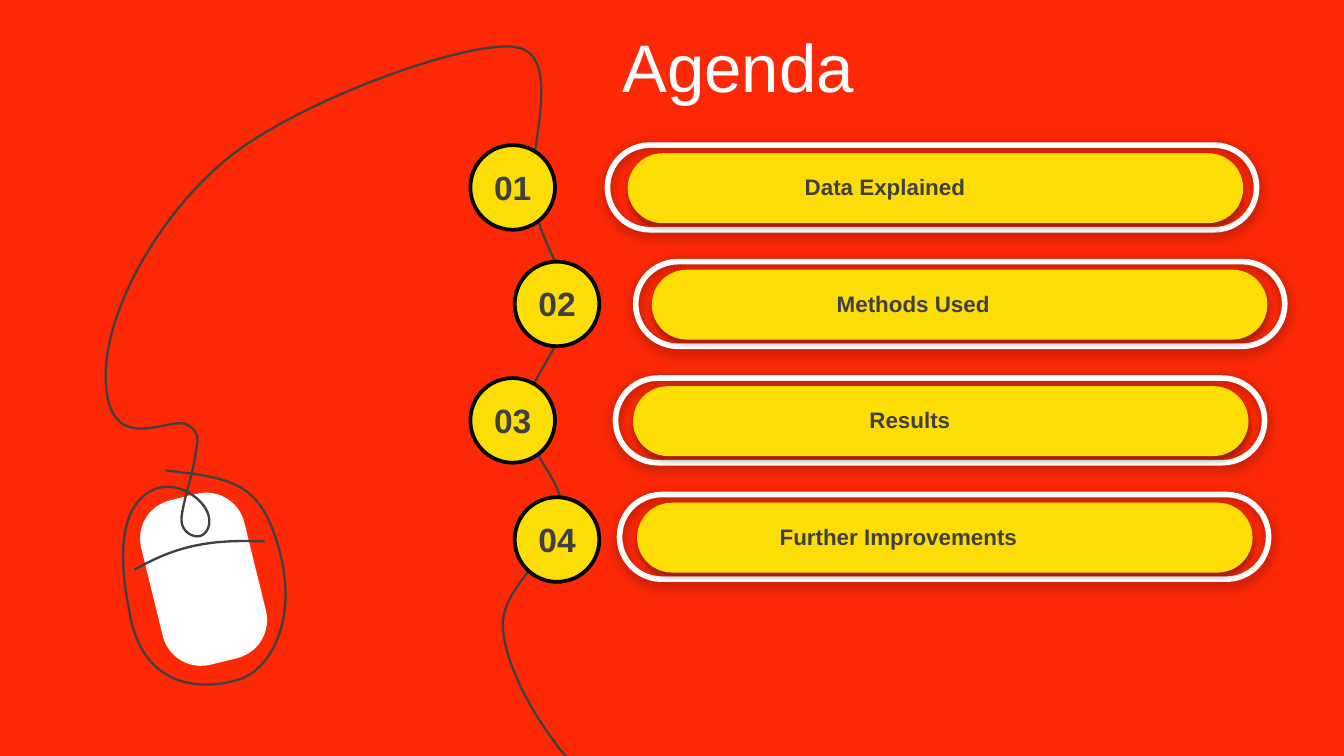
from dataclasses import dataclass
from lxml.etree import SubElement
from pptx import Presentation
from pptx.dml.color import RGBColor as RGB
from pptx.enum.shapes import MSO_SHAPE as Shape
from pptx.enum.text import MSO_ANCHOR as Anchor, MSO_AUTO_SIZE as Fit, PP_ALIGN as Align
from pptx.oxml.ns import qn
from pptx.util import Inches, Pt


@dataclass(frozen=True)
class Theme:
    """Colours, font and type sizes of the slide."""
    back: str = "FD2906"
    accent: str = "FDDD06"
    light: str = "FFFFFF"
    ink: str = "404040"
    black: str = "000000"
    font: str = "Arial"
    title: int = 36
    number: int = 18
    label: int = 12


def write(tf, text, size, color, bold=False, align=Align.CENTER, anchor=Anchor.MIDDLE):
    """Put one formatted line of text in a text frame."""
    tf.vertical_anchor = anchor
    p = tf.paragraphs[0]
    p.alignment = align
    r = p.add_run()
    r.text = text
    r.font.name, r.font.size, r.font.bold = "Arial", Pt(size), bold
    r.font.color.rgb = RGB.from_string(color)


class Board:
    """Draw on one slide, measured in a grid of ten columns with square cells."""

    def __init__(self, prs, theme):
        """Add a title-only slide with a plain background."""
        self.theme = theme
        self.cell = prs.slide_width / 10
        self.slide = prs.slides.add_slide(prs.slide_layouts[5])
        fill = self.slide.background.fill
        fill.solid()
        fill.fore_color.rgb = RGB.from_string(theme.back)

    def grid(self, *cells):
        """Turn grid cells into slide lengths."""
        return [round(c * self.cell) for c in cells]

    def style(self, s, fill=None, line=None, width=1, shadow=None):
        """Set fill, line and an optional (alpha, blur, distance) shadow."""
        s.shadow.inherit = False
        if fill:
            s.fill.solid()
            s.fill.fore_color.rgb = RGB.from_string(fill)
        else:
            s.fill.background()
        if line:
            s.line.color.rgb = RGB.from_string(line)
            s.line.width = Pt(width)
        else:
            s.line.fill.background()
        if shadow:
            alpha, blur, dist = shadow
            effects = s.element.spPr.find(qn("a:effectLst"))
            outer = SubElement(effects, qn("a:outerShdw"), blurRad=str(Pt(blur)),
                               dist=str(Pt(dist)), dir="5400000", rotWithShape="0")
            color = SubElement(outer, qn("a:srgbClr"), val=self.theme.black)
            SubElement(color, qn("a:alpha"), val=str(alpha * 1000))

    def title(self, text, box):
        """Move and fill the title placeholder."""
        s = self.slide.shapes.title
        s.left, s.top, s.width, s.height = self.grid(*box)
        s.text_frame.auto_size = Fit.NONE
        write(s.text_frame, text, self.theme.title, self.theme.light, align=Align.LEFT)

    def shape(self, kind, box, round_by=None, turn=0, **look):
        """Add a preset shape."""
        s = self.slide.shapes.add_shape(kind, *self.grid(*box))
        if round_by:
            s.adjustments[0] = round_by
        s.rotation = turn
        self.style(s, **look)

    def text(self, text, box, size, wrap=True, anchor=Anchor.MIDDLE):
        """Add a centred bold text box."""
        tf = self.slide.shapes.add_textbox(*self.grid(*box)).text_frame
        tf.word_wrap, tf.auto_size = wrap, Fit.SHAPE_TO_FIT_TEXT
        write(tf, text, size, self.theme.ink, bold=True, anchor=anchor)

    def curve(self, points):
        """Add an open Bézier line: a start, then three points per segment."""
        start, *rest = [self.grid(*pt) for pt in points]
        builder = self.slide.shapes.build_freeform(*start)
        builder.add_line_segments(rest, close=False)
        s = builder.convert_to_shape()
        outline = s.element.spPr.find(".//" + qn("a:path"))
        steps = outline.findall(qn("a:lnTo"))
        for i in range(0, len(steps), 3):
            bend = SubElement(outline, qn("a:cubicBezTo"))
            for step in steps[i:i + 3]:
                bend.append(step[0])
                outline.remove(step)
        self.style(s, line=self.theme.ink, width=1.25)

    def item(self, number, label, top, circle, ring, pill, text_x, text_w, drop=0):
        """Add one agenda row: numbered circle, ringed pill and label."""
        t = self.theme
        self.shape(Shape.OVAL, (circle, top + drop, 0.63, 0.63),
                   fill=t.accent, line=t.black, width=2)
        self.text(number, (circle + 0.05, top + drop + 0.11, 0.53, 0.4), t.number)
        self.shape(Shape.ROUNDED_RECTANGLE, (ring, top, 4.83, 0.63), 0.5,
                   line=t.light, width=3, shadow=(38, 6, 1.6))
        self.shape(Shape.ROUNDED_RECTANGLE, (pill, top + 0.06, 4.58, 0.52), 0.5,
                   fill=t.accent, shadow=(35, 3.1, 1.8))
        self.text(label, (text_x, top + 0.16, text_w, 0.3), t.label, False, Anchor.TOP)


BUTTON_LINE = [(1, 4.24), (1.3, 4.07), (1.54, 4.01), (1.97, 4.03)]
CABLE = [
    (1.23, 3.5),
    (1.73, 3.56), (1.94, 3.58), (2.08, 4.1),
    (2.22, 4.63), (2, 4.96), (1.82, 5.04),
    (1.63, 5.12), (1.09, 5.2), (0.97, 4.59),
    (0.84, 3.98), (0.96, 3.72), (1.15, 3.64),
    (1.33, 3.57), (1.52, 3.72), (1.55, 3.83),
    (1.58, 3.94), (1.51, 3.99), (1.48, 3.99),
    (1.44, 4), (1.35, 3.96), (1.35, 3.87),
    (1.35, 3.77), (1.44, 3.5), (1.45, 3.41),
    (1.46, 3.31), (1.51, 3.22), (1.39, 3.16),
    (1.28, 3.09), (0.83, 3.4), (0.79, 2.88),
    (0.74, 2.37), (1.17, 1.61), (1.68, 1.19),
    (2.18, 0.77), (3.45, 0.3), (3.83, 0.35),
    (4.22, 0.4), (3.9, 1.18), (3.97, 1.51),
    (4.03, 1.83), (4.23, 2.04), (4.22, 2.3),
    (4.21, 2.56), (3.91, 2.84), (3.9, 3.09),
    (3.89, 3.35), (4.21, 3.57), (4.18, 3.83),
    (4.16, 4.09), (3.74, 4.35), (3.74, 4.65),
    (3.75, 4.95), (3.99, 5.37), (4.22, 5.64),
]
ITEMS = [
    ("Data Explained", 3.5, 4.52, 4.67, 5.88, 1.41, 0),
    ("Methods Used", 3.83, 4.73, 4.85, 6.12, 1.35, 0),
    ("Results", 3.5, 4.58, 4.71, 6.34, 0.86, 0),
    ("Further Improvements", 3.83, 4.61, 4.74, 5.69, 1.99, 0.02),
]


def main():
    """Build and save the agenda slide."""
    prs = Presentation()
    prs.slide_width = Inches(10)
    prs.slide_height = prs.slide_width * 9 // 16
    theme = Theme()
    board = Board(prs, theme)
    board.shape(Shape.ROUNDED_RECTANGLE, (1.12, 3.68, 0.79, 1.26), 0.37, -13.8,
                fill=theme.light)
    board.curve(BUTTON_LINE)
    board.curve(CABLE)
    board.title("Agenda", (4.53, 0.17, 5.47, 0.63))
    for i, (label, circle, ring, pill, text_x, text_w, drop) in enumerate(ITEMS):
        board.item(f"{i + 1:02}", label, 1.08 + i * 2.6 / 3, circle, ring, pill,
                   text_x, text_w, drop)
    prs.save("out.pptx")


if __name__ == "__main__":
    main()
